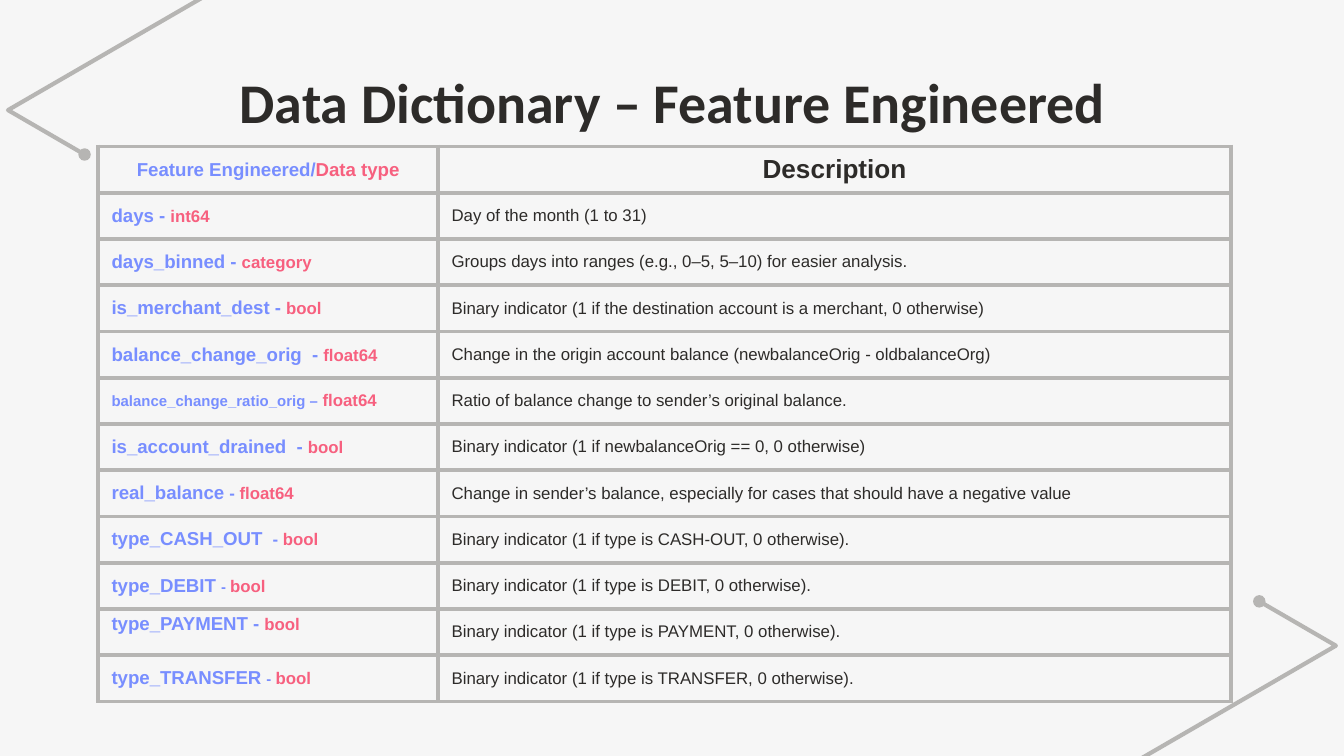
from dataclasses import dataclass

from lxml.etree import SubElement
from pptx import Presentation
from pptx.dml.color import RGBColor
from pptx.enum.text import MSO_ANCHOR as Anchor, MSO_AUTO_SIZE as AutoSize, PP_ALIGN as Align
from pptx.oxml.ns import qn
from pptx.util import Inches, Pt


@dataclass(frozen=True)
class Theme:
    background: str = "F6F6F6"
    ink: str = "2D2B29"
    rule: str = "B6B5B3"
    feature: str = "788EFF"
    data_type: str = "F7607F"
    title_font: str = "Calibri"
    body_font: str = "Arial"
    title_size: float = 30
    heading_size: float = 14
    feature_size: float = 10
    body_size: float = 9
    small_size: float = 8
    rule_width: float = 2.25
    description_gap: float = 16


THEME = Theme()
WIDTH = 10
HEIGHT = WIDTH * 9 / 16
COLUMN_WIDTHS = (2.53, 5.9)
ARROW = ((0.63, 1.15), (0.06, 0.82), (2.53, -0.61))


@dataclass(frozen=True)
class Feature:
    name: str
    data_type: str
    description: str
    dash: str = "- "
    name_size: float = THEME.feature_size
    dash_size: float = THEME.feature_size
    bottom_margin: float = 0


FEATURES = (
    Feature("days ", "int64", "Day of the month (1 to 31)"),
    Feature("days_binned ", "category",
            "Groups days into ranges (e.g., 0–5, 5–10) for easier analysis."),
    Feature("is_merchant_dest ", "bool",
            "Binary indicator (1 if the destination account is a merchant, 0 otherwise)"),
    Feature("balance_change_orig  ", "float64",
            "Change in the origin account balance (newbalanceOrig - oldbalanceOrg)"),
    Feature("balance_change_ratio_orig ", "float64",
            "Ratio of balance change to sender’s original balance.", "– ",
            THEME.small_size, THEME.small_size),
    Feature("is_account_drained  ", "bool",
            "Binary indicator (1 if newbalanceOrig == 0, 0 otherwise)"),
    Feature("real_balance ", "float64",
            "Change in sender’s balance, especially for cases that should have a negative value",
            dash_size=THEME.body_size),
    Feature("type_CASH_OUT  ", "bool", "Binary indicator (1 if type is CASH-OUT, 0 otherwise).",
            dash_size=THEME.body_size),
    Feature("type_DEBIT ", "bool", "Binary indicator (1 if type is DEBIT, 0 otherwise).",
            dash_size=THEME.small_size),
    Feature("type_PAYMENT ", "bool", "Binary indicator (1 if type is PAYMENT, 0 otherwise).",
            bottom_margin=0.12),
    Feature("type_TRANSFER ", "bool", "Binary indicator (1 if type is TRANSFER, 0 otherwise).",
            dash_size=THEME.small_size),
)


def add_text(paragraph, text: str, *, size: float, color: str = THEME.ink,
             font: str = THEME.body_font, bold: bool = True) -> None:
    run = paragraph.add_run()
    run.text = text
    run.font.name = font
    run.font.size = Pt(size)
    run.font.bold = bold
    run.font.color.rgb = RGBColor.from_string(color)


def add_arrow(slide, points: tuple) -> None:
    start, *others = [(Inches(x), Inches(y)) for x, y in points]
    builder = slide.shapes.build_freeform(*start)
    builder.add_line_segments(others, close=False)
    shape = builder.convert_to_shape()
    shape.shadow.inherit = False
    shape.fill.background()
    shape.line.color.rgb = RGBColor.from_string(THEME.rule)
    shape.line.width = Pt(THEME.rule_width)
    line = shape.line._get_or_add_ln()
    for end in ("a:headEnd", "a:tailEnd"):
        SubElement(line, qn(end), type="oval")


def add_title(slide, text: str) -> None:
    title = slide.shapes.title
    title.left, title.top = Inches(0.79), Inches(0.4)
    title.width, title.height = Inches(8.43), Inches(0.63)
    frame = title.text_frame
    frame.auto_size = AutoSize.NONE
    frame.word_wrap = True
    frame.vertical_anchor = Anchor.TOP
    frame.margin_left = frame.margin_right = 0
    frame.margin_top = frame.margin_bottom = Inches(0.1)
    paragraph = frame.paragraphs[0]
    paragraph.alignment = Align.CENTER
    add_text(paragraph, text, size=THEME.title_size, font=THEME.title_font)


def format_cell(cell, alignment: Align, *, space_after: float = 0, bottom_margin: float = 0):
    cell.vertical_anchor = Anchor.MIDDLE
    cell.margin_left = cell.margin_right = Inches(0.1)
    cell.margin_top, cell.margin_bottom = 0, Inches(bottom_margin)
    properties = cell._tc.get_or_add_tcPr()
    for side in ("a:lnL", "a:lnR", "a:lnT", "a:lnB"):
        border = SubElement(properties, qn(side), w=str(Pt(THEME.rule_width)))
        fill = SubElement(border, qn("a:solidFill"))
        SubElement(fill, qn("a:srgbClr"), val=THEME.rule)
    cell.fill.background()
    paragraph = cell.text_frame.paragraphs[0]
    paragraph.alignment = alignment
    paragraph.space_after = Pt(space_after)
    return paragraph


def add_dictionary(slide, features: tuple[Feature, ...]) -> None:
    frame = slide.shapes.add_table(len(features) + 1, len(COLUMN_WIDTHS), Inches(0.73),
                                   Inches(1.09), Inches(sum(COLUMN_WIDTHS)), Inches(4.13))
    table = frame.table
    table.first_row = table.horz_banding = False
    for column, width in zip(table.columns, COLUMN_WIDTHS):
        column.width = Inches(width)

    heading = format_cell(table.cell(0, 0), Align.CENTER)
    add_text(heading, "Feature Engineered/", size=THEME.feature_size, color=THEME.feature)
    add_text(heading, "Data type", size=THEME.feature_size, color=THEME.data_type)
    heading = format_cell(table.cell(0, 1), Align.CENTER, space_after=THEME.description_gap)
    add_text(heading, "Description", size=THEME.heading_size)

    for row, feature in enumerate(features, start=1):
        label = format_cell(table.cell(row, 0), Align.LEFT, bottom_margin=feature.bottom_margin)
        add_text(label, feature.name, size=feature.name_size, color=THEME.feature)
        add_text(label, feature.dash, size=feature.dash_size, color=THEME.feature)
        add_text(label, feature.data_type, size=THEME.body_size, color=THEME.data_type)
        description = format_cell(table.cell(row, 1), Align.LEFT,
                                  space_after=THEME.description_gap)
        add_text(description, feature.description, size=THEME.body_size, bold=False)


def main() -> None:
    presentation = Presentation()
    presentation.slide_width, presentation.slide_height = Inches(WIDTH), Inches(HEIGHT)
    slide = presentation.slides.add_slide(presentation.slide_layouts.get_by_name("Title Only"))
    background = slide.background.fill
    background.solid()
    background.fore_color.rgb = RGBColor.from_string(THEME.background)

    add_arrow(slide, tuple((WIDTH - x, HEIGHT - y) for x, y in ARROW))
    add_arrow(slide, ARROW)
    add_title(slide, "Data Dictionary – Feature Engineered")
    add_dictionary(slide, FEATURES)
    presentation.save("out.pptx")


if __name__ == "__main__":
    main()
